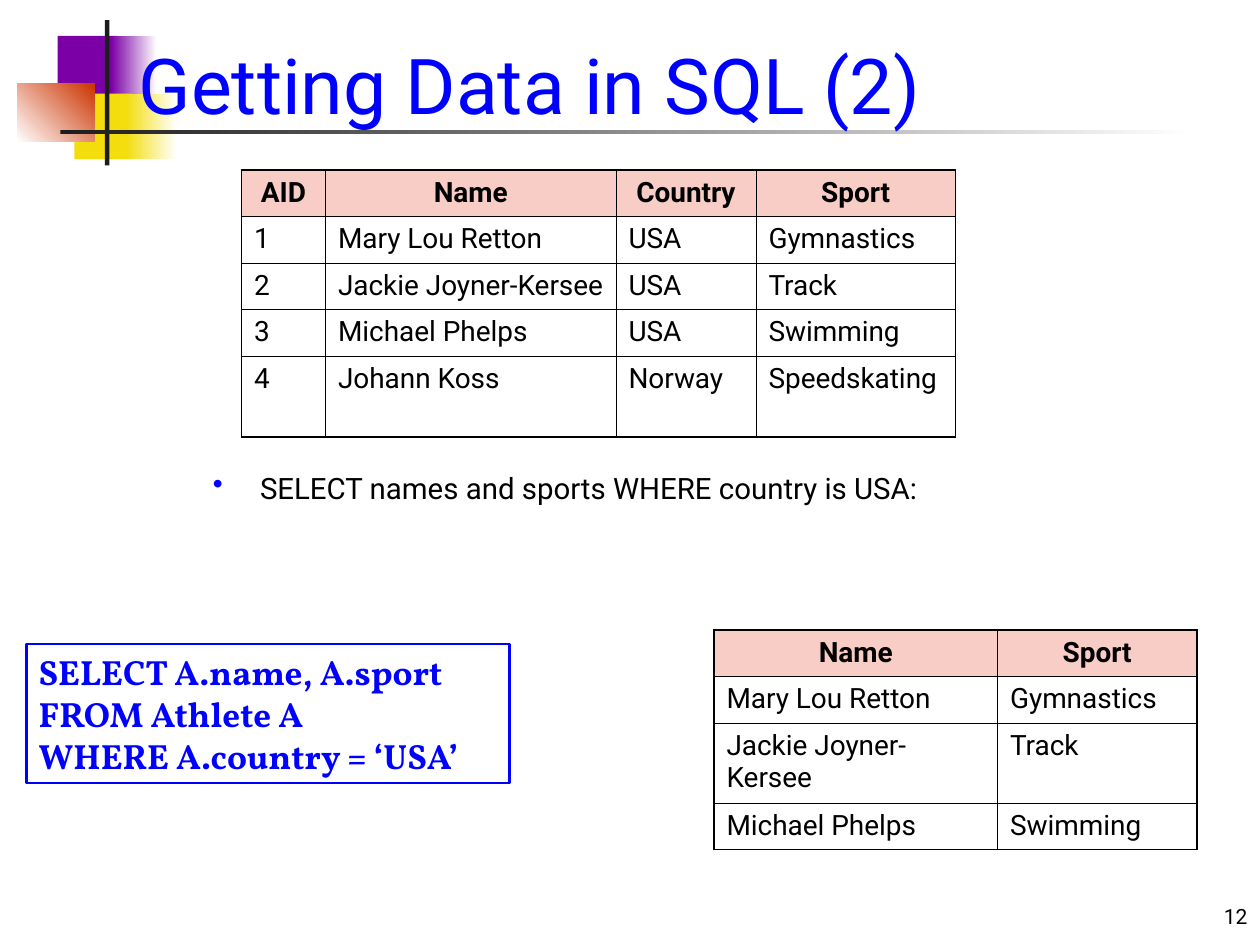
from pptx import Presentation
from pptx.dml.color import RGBColor
from pptx.enum.shapes import MSO_SHAPE
from pptx.enum.text import MSO_ANCHOR, MSO_AUTO_SIZE, PP_ALIGN
from pptx.oxml.ns import qn
from pptx.util import Pt
from lxml.etree import SubElement

COLORS = {
    "purple": "7B00A6", "yellow": "F3DD0D", "red": "CC3300", "white": "FFFFFF",
    "dark": "1C1C1C", "blue": "0000FF", "black": "000000", "header": "F8CDC6",
}


def rgb(name):
    return RGBColor.from_string(COLORS[name])


def write(frame, text, size=16, color="black", font="Roboto", bold=False,
          align=PP_ALIGN.LEFT, anchor=MSO_ANCHOR.TOP, bullet=None):
    frame.word_wrap = True
    frame.vertical_anchor = anchor
    for number, line in enumerate(text.split("\n")):
        paragraph = frame.add_paragraph() if number else frame.paragraphs[0]
        paragraph.alignment = align
        if bullet:
            props = paragraph._p.get_or_add_pPr()
            props.set("marL", str(Pt(27)))
            props.set("indent", str(Pt(-27)))
            tint = SubElement(props, qn("a:buClr"))
            SubElement(tint, qn("a:srgbClr"), val=COLORS["blue"])
            SubElement(props, qn("a:buChar"), char=bullet)
        run = paragraph.add_run()
        run.text = line
        run.font.size = Pt(size)
        run.font.name = font
        run.font.bold = bold
        run.font.color.rgb = rgb(color)


class SlideBuilder:
    """Hold the slide and its style, and add each kind of element."""

    thin, thick = 0.45, 1.08
    header_fill = "header"

    def __init__(self, slide):
        self.slide = slide
        self.shapes = slide.shapes

    def title(self, box, text, **style):
        title = self.shapes.title
        title.left, title.top, title.width, title.height = map(Pt, box)
        title.text_frame.auto_size = MSO_AUTO_SIZE.NONE
        write(title.text_frame, text, **style)
        title.element.getparent().append(title.element)

    def block(self, box, start=None, end=None, angle=0, line=None):
        block = self.shapes.add_shape(MSO_SHAPE.RECTANGLE, *map(Pt, box))
        block.shadow.inherit = False
        if end:
            block.fill.gradient()
            block.fill.gradient_angle = angle
            for stop, color in zip(block.fill.gradient_stops, (start, end)):
                stop.color.rgb = rgb(color)
        elif start:
            block.fill.solid()
            block.fill.fore_color.rgb = rgb(start)
        else:
            block.fill.background()
        if line:
            block.line.color.rgb = rgb(line)
            block.line.width = Pt(1.5)
        else:
            block.line.fill.background()
        return block

    def code(self, box, text, **style):
        frame = self.block(box, line="blue").text_frame
        write(frame, text, font="Vollkorn", bold=True, color="blue", **style)
        frame.auto_size = MSO_AUTO_SIZE.SHAPE_TO_FIT_TEXT

    def label(self, box, text, **style):
        write(self.shapes.add_textbox(*map(Pt, box)).text_frame, text, **style)

    def border(self, cell, side, width):
        line = SubElement(cell._tc.get_or_add_tcPr(), qn(f"a:ln{side}"), w=str(Pt(width)))
        fill = SubElement(line, qn("a:solidFill"))
        SubElement(fill, qn("a:srgbClr"), val=COLORS["black"])

    def table(self, left, top, widths, heights, rows, bottom):
        table = self.shapes.add_table(
            len(rows), len(widths), Pt(left), Pt(top),
            Pt(sum(widths)), Pt(sum(heights))).table
        table.first_row = table.horz_banding = False
        for column, width in zip(table.columns, widths):
            column.width = Pt(width)
        for row, height in zip(table.rows, heights):
            row.height = Pt(height)
        last_row, last_column = len(rows) - 1, len(widths) - 1
        for r, values in enumerate(rows):
            for c, value in enumerate(values):
                cell = table.cell(r, c)
                self.border(cell, "L", self.thin if c else self.thick)
                self.border(cell, "R", self.thick if c == last_column else self.thin)
                self.border(cell, "T", self.thin if r else self.thick)
                self.border(cell, "B", bottom if r == last_row else self.thin)
                if r:
                    cell.fill.background()
                else:
                    cell.fill.solid()
                    cell.fill.fore_color.rgb = rgb(self.header_fill)
                write(cell.text_frame, value, bold=not r,
                      align=PP_ALIGN.LEFT if r else PP_ALIGN.CENTER)


def main():
    deck = Presentation()
    deck.slide_width, deck.slide_height = Pt(720), Pt(540)
    page = SlideBuilder(deck.slides.add_slide(deck.slide_layouts[5]))

    page.block((33, 20.5, 34.5, 37), "purple")
    page.block((63.5, 20.5, 26, 37), "purple", "white")
    page.block((42.5, 53.5, 33, 37.5), "yellow")
    page.block((72, 53.5, 29, 37.5), "yellow", "white")
    page.block((10, 47.5, 44, 33.5), "white", "red", angle=45)
    page.block((60, 11.5, 2.5, 83), "dark")
    page.block((34.5, 74.2, 648, 2.2), "dark", "white")

    page.label((570, 498, 150, 36), "12", size=12,
               align=PP_ALIGN.RIGHT, anchor=MSO_ANCHOR.BOTTOM)
    page.title((72, -12, 636, 90), "Getting Data in SQL (2)",
               size=44, color="blue", anchor=MSO_ANCHOR.BOTTOM)
    page.label((114.5, 265, 456, 39), "SELECT names and sports WHERE country is USA:",
               size=16.8, bullet="•")

    athletes = [
        ("AID", "Name", "Country", "Sport"),
        ("1", "Mary Lou Retton", "USA", "Gymnastics"),
        ("2", "Jackie Joyner-Kersee", "USA", "Track"),
        ("3", "Michael Phelps", "USA", "Swimming"),
        ("4", "Johann Koss", "Norway", "Speedskating"),
    ]
    selected = [(name, sport) for _, name, country, sport in athletes
                if country in ("Country", "USA")]
    row = 26.6
    page.table(138, 97.2, (48, 166, 80, 114), [row] * 4 + [46], athletes, page.thick)
    page.table(408, 360, (162, 114), (row, row, 45.4, row), selected, page.thin)

    page.code((15, 368, 276, 79.5),
              "SELECT A.name, A.sport\nFROM Athlete A\nWHERE A.country = ‘USA’", size=20)
    deck.save("out.pptx")


if __name__ == "__main__":
    main()
